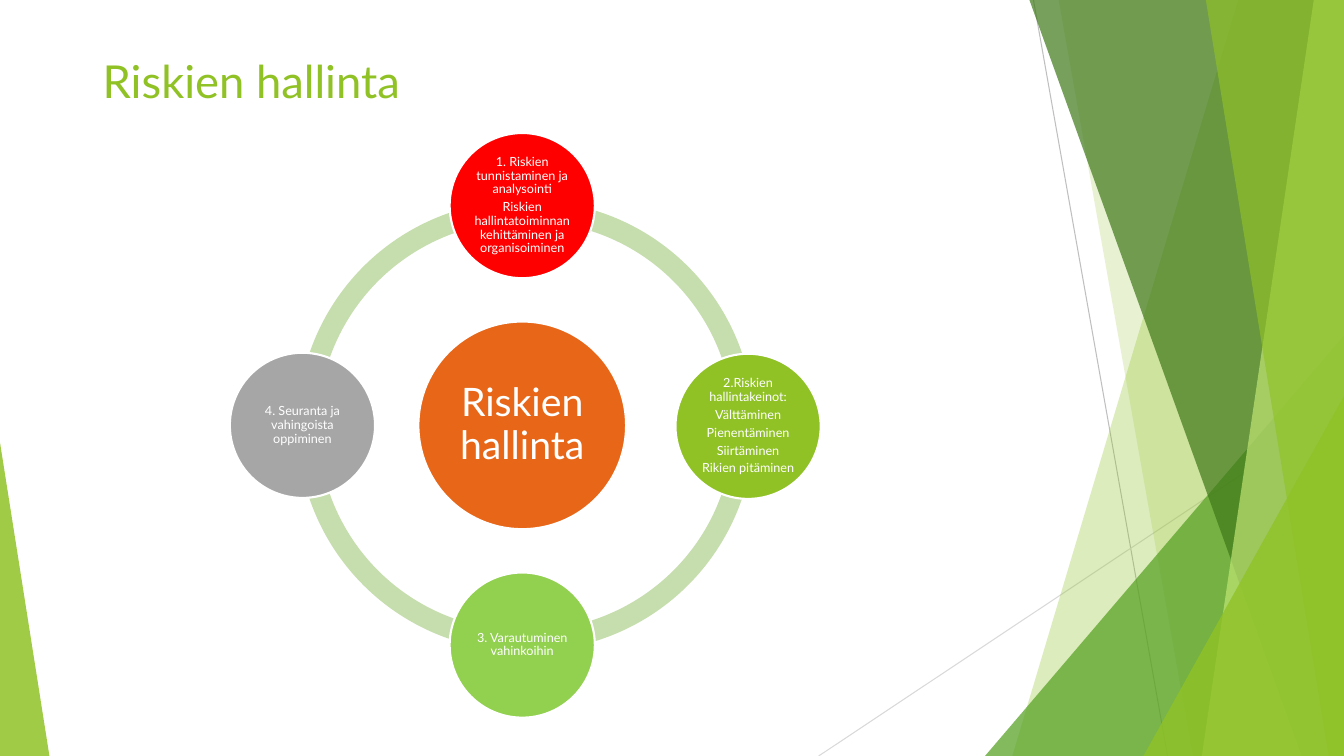
from pptx import Presentation
from pptx.dml.color import RGBColor
from pptx.enum.shapes import MSO_CONNECTOR, MSO_SHAPE
from pptx.enum.text import MSO_ANCHOR, PP_ALIGN
from pptx.oxml.ns import qn
from pptx.util import Inches, Pt
from lxml.etree import SubElement


def color(code):
    return RGBColor.from_string(code)


class Deck:
    """Holds the style and the current slide, and draws each kind of element."""

    font = "Lato"
    green = "90C226"
    white = "FFFFFF"
    wide, high = 13.33, 7.5

    def __init__(self):
        self.file = Presentation()
        self.file.slide_width = Inches(self.wide)
        self.file.slide_height = Inches(self.high)
        self.slide = self.file.slides.add_slide(self.file.slide_layouts[6])
        self.shapes = self.slide.shapes

    def paint(self, shape, fill, alpha=100, edge=None):
        shape.shadow.inherit = False
        shape.fill.solid()
        shape.fill.fore_color.rgb = color(fill)
        if alpha < 100:
            tint = shape.element.spPr.find(qn("a:solidFill"))[0]
            SubElement(tint, qn("a:alpha")).set("val", str(alpha * 1000))
        if edge:
            shape.line.color.rgb = color(edge)
            shape.line.width = Pt(1.5)
        else:
            shape.line.fill.background()

    def label(self, shape, *lines, size, ink, align=PP_ALIGN.LEFT,
              anchor=MSO_ANCHOR.TOP, inset=(0.1, 0.05), space=None, after=0):
        frame = shape.text_frame
        frame.word_wrap = True
        frame.vertical_anchor = anchor
        frame.margin_left = frame.margin_right = Inches(inset[0])
        frame.margin_top = frame.margin_bottom = Inches(inset[1])
        for i, line in enumerate(lines):
            para = frame.add_paragraph() if i else frame.paragraphs[0]
            para.alignment = align
            para.line_spacing = space
            para.space_after = Pt(after)
            run = para.add_run()
            run.text = line
            run.font.name = self.font
            run.font.size = Pt(size)
            run.font.color.rgb = color(ink)

    def preset(self, kind, x, y, w, h, fill, adjust=(), **style):
        shape = self.shapes.add_shape(
            kind, Inches(x), Inches(y), Inches(w), Inches(h))
        for i, value in enumerate(adjust):
            shape.adjustments[i] = value
        self.paint(shape, fill, **style)
        return shape

    def title(self, text, x, y, w, h):
        box = self.shapes.add_textbox(Inches(x), Inches(y), Inches(w), Inches(h))
        self.label(box, text, size=32.4, ink=self.green)

    def line(self, start, end, ink):
        line = self.shapes.add_connector(
            MSO_CONNECTOR.STRAIGHT, *map(Inches, start + end))
        line.line.color.rgb = color(ink)
        line.line.width = Pt(0.75)
        SubElement(line.element.spPr, qn("a:effectLst"))

    def band(self, top, foot, fill, alpha):
        points = [(top, 0), (self.wide, 0), (self.wide, self.high), (foot, self.high)]
        points = [(Inches(x), Inches(y)) for x, y in points]
        shape = self.shapes.build_freeform(*points[0])
        shape.add_line_segments(points[1:], close=True)
        self.paint(shape.convert_to_shape(), fill, alpha)

    def wedge(self, x, y, w, tip, fill, alpha):
        self.preset(MSO_SHAPE.ISOSCELES_TRIANGLE, x, y, w, self.high - y,
                    fill, [tip], alpha=alpha)

    def arc(self, x, start, end):
        self.preset(MSO_SHAPE.BLOCK_ARC, x, 1.99, 4.47, 4.47,
                    "C6DDAD", [start, end, 0.046])

    def disc(self, x, y, width, fill, *lines, size=9, inset=0.01, after=3):
        disc = self.preset(MSO_SHAPE.OVAL, x - width / 2, y - width / 2,
                           width, width, fill, edge=self.white)
        self.label(disc, *lines, size=size, ink=self.white,
                   align=PP_ALIGN.CENTER, anchor=MSO_ANCHOR.MIDDLE,
                   inset=(inset, inset), space=0.9, after=after)


def main():
    deck = Deck()
    green = deck.green

    deck.line((10.25, 0), (11.58, 7.5), "BFBFBF")
    deck.line((13.33, 4.03), (8.12, 7.5), "D9D9D9")
    deck.band(12.28, 10.04, green, 30)
    deck.band(10.5, 11.83, green, 20)
    deck.wedge(9.77, 3.33, 3.56, 1, "54A021", 72)
    deck.band(10.21, 12.91, "3F7819", 70)
    deck.band(13.03, 11.92, "C0E474", 70)
    deck.band(11.96, 13.18, green, 65)
    deck.wedge(11.34, 3.93, 1.99, 1, green, 80)
    deck.wedge(0, 4.39, 0.49, 0, green, 85)

    deck.title("Riskien hallinta", 0.92, 0.48, 11.5, 0.64)

    for x, start, end in [(2.95, 108, 162), (2.95, 54, 108),
                          (3.01, 0.14, 54.93), (3.01, 161.07, 0.17)]:
        deck.arc(x, start, end)

    deck.disc(5.18, 4.22, 2.06, "E76618", "Riskien hallinta",
              size=28, inset=0.04, after=10)
    steps = [
        (5.18, 2.04, "FF0000", "1. Riskien tunnistaminen ja analysointi",
         "Riskien hallintatoiminnan kehittäminen ja organisoiminen"),
        (7.42, 4.23, green, "2.Riskien hallintakeinot:", "Välttäminen",
         "Pienentäminen", "Siirtäminen", "Rikien pitäminen"),
        (5.18, 6.4, "92D050", "3. Varautuminen vahinkoihin"),
        (3, 4.22, "A6A6A6", "4. Seuranta ja vahingoista oppiminen"),
    ]
    for x, y, fill, *lines in steps:
        deck.disc(x, y, 1.44, fill, *lines)

    deck.file.save("out.pptx")


if __name__ == "__main__":
    main()
